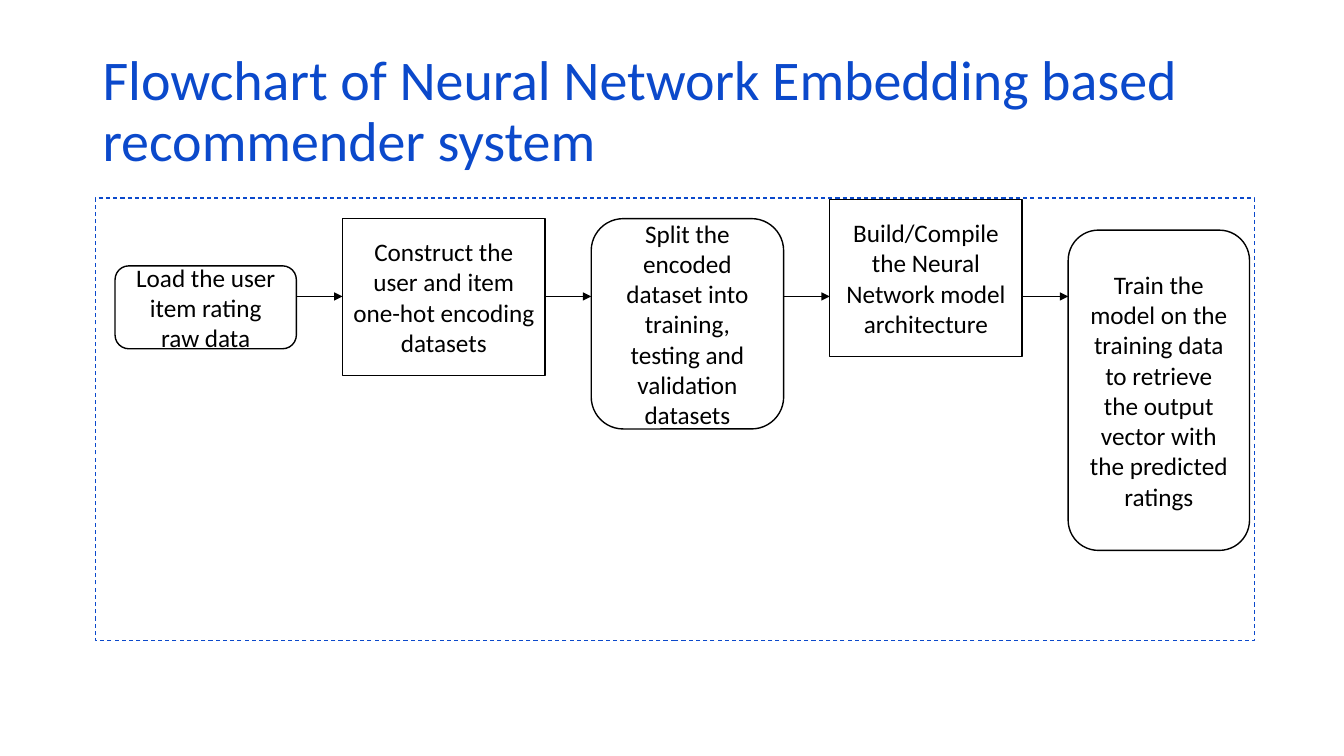
from lxml import etree
from pptx import Presentation
from pptx.dml.color import RGBColor
from pptx.enum.dml import MSO_LINE
from pptx.enum.shapes import MSO_CONNECTOR, MSO_SHAPE
from pptx.enum.text import MSO_ANCHOR, MSO_AUTO_SIZE, PP_ALIGN
from pptx.oxml.ns import qn
from pptx.util import Cm, Pt

RECT, ROUND = MSO_SHAPE.RECTANGLE, MSO_SHAPE.ROUNDED_RECTANGLE
STRAIGHT, DASH = MSO_CONNECTOR.STRAIGHT, MSO_LINE.DASH
LEFT, CENTER, MIDDLE = PP_ALIGN.LEFT, PP_ALIGN.CENTER, MSO_ANCHOR.MIDDLE
NO_FIT = MSO_AUTO_SIZE.NONE
FONT, BLUE, BLACK, WHITE = "Calibri", "0B49CB", "000000", "FFFFFF"

TITLE = "Flowchart of Neural Network Embedding based recommender system"
# text, outline, top, width, height (cm), fill
STEPS = [
    ("Load the user item rating raw data", ROUND, 6.7, 4.57, 2.09, None),
    ("Construct the user and item one-hot encoding datasets",
     RECT, 5.51, 5.11, 3.95, WHITE),
    ("Split the encoded dataset into training, testing and validation datasets",
     ROUND, 5.51, 4.85, 5.3, None),
    ("Build/Compile the Neural Network model architecture",
     RECT, 5.03, 4.85, 3.95, WHITE),
    ("Train the model on the training data to retrieve the output vector "
     "with the predicted ratings", ROUND, 5.8, 4.57, 8.07, None),
]
FIRST_LEFT, GAP, ARROW_Y = 2.9, 1.16, 7.47


def color(value):
    return RGBColor.from_string(value)


def write(shape, text, size, ink, align):
    frame = shape.text_frame
    frame.word_wrap = True
    frame.auto_size = NO_FIT
    frame.vertical_anchor = MIDDLE
    frame.text = text
    para = frame.paragraphs[0]
    para.alignment = align
    font = para.runs[0].font
    font.name, font.size = FONT, Pt(size)
    font.color.rgb = color(ink)
    return para


def add_box(page, outline, left, top, width, height, ink, weight, fill=None):
    box = page.shapes.add_shape(outline, Cm(left), Cm(top), Cm(width), Cm(height))
    box.shadow.inherit = False
    if fill:
        box.fill.solid()
        box.fill.fore_color.rgb = color(fill)
    else:
        box.fill.background()
    box.line.color.rgb = color(ink)
    box.line.width = Pt(weight)
    return box


def add_arrow(page, start, end):
    arrow = page.shapes.add_connector(
        STRAIGHT, Cm(start), Cm(ARROW_Y), Cm(end), Cm(ARROW_Y))
    arrow.line.color.rgb = color(BLACK)
    arrow.line.width = Pt(1.25)
    properties = arrow.line._get_or_add_ln()
    etree.SubElement(properties, qn("a:tailEnd"), type="triangle")
    etree.SubElement(properties.getparent(), qn("a:effectLst"))


def main():
    deck = Presentation()
    deck.slide_width, deck.slide_height = Cm(33.87), Cm(19.05)
    page = deck.slides.add_slide(deck.slide_layouts[5])

    title = page.shapes.title
    title.left, title.top, title.width, title.height = (
        Cm(2.33), Cm(1.01), Cm(29.21), Cm(3.68))
    write(title, TITLE, 40, BLUE, LEFT).line_spacing = 0.9

    frame = add_box(page, RECT, 2.4, 4.99, 29.21, 11.15, BLUE, 0.75)
    frame.line.dash_style = DASH

    left = FIRST_LEFT
    for index, (text, outline, top, width, height, fill) in enumerate(STEPS):
        if index:
            add_arrow(page, left - GAP, left)
        box = add_box(page, outline, left, top, width, height, BLACK, 1, fill)
        write(box, text, 18, BLACK, CENTER)
        left += width + GAP

    deck.save("out.pptx")


if __name__ == "__main__":
    main()
